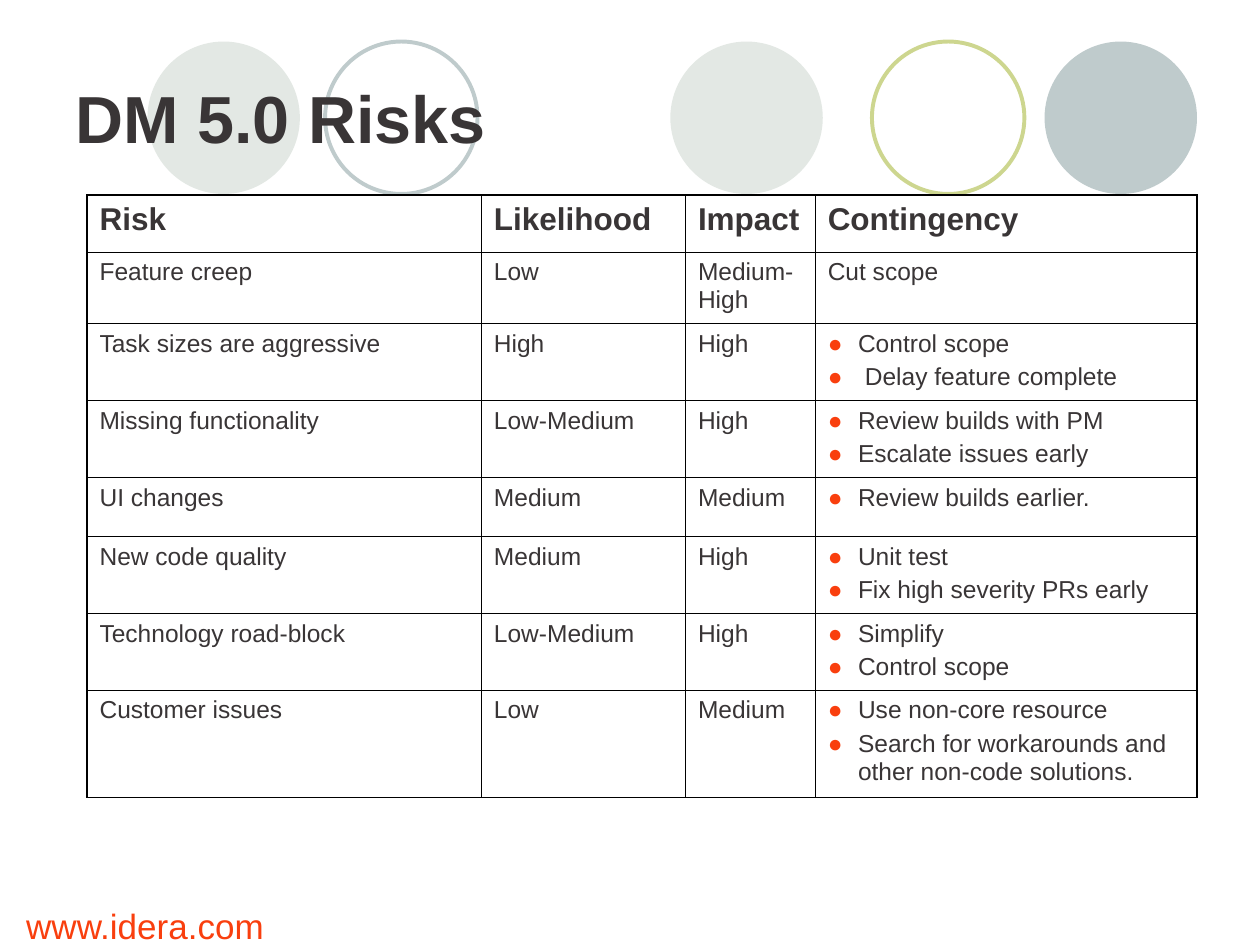
from lxml import etree
from pptx import Presentation
from pptx.dml.color import RGBColor
from pptx.enum.shapes import MSO_SHAPE
from pptx.enum.text import MSO_ANCHOR, PP_ALIGN
from pptx.oxml.ns import qn
from pptx.util import Inches, Pt

ELLIPSE = MSO_SHAPE.OVAL
MIDDLE = MSO_ANCHOR.MIDDLE
LEFT = PP_ALIGN.LEFT

DARK = RGBColor(0x39, 0x35, 0x36)
ORANGE = RGBColor(0xF9, 0x3F, 0x0E)
BLACK = RGBColor(0x00, 0x00, 0x00)
PALE_GREEN = RGBColor(0xE3, 0xE8, 0xE4)
GREY_BLUE = RGBColor(0xBF, 0xCB, 0xCC)
LIME = RGBColor(0xCD, 0xD6, 0x8F)

TITLE_FONT = {"name": "Arial", "size": Pt(38), "bold": True}
ADDRESS_FONT = {"name": "Arial", "size": Pt(20), "bold": False}
HEADER_FONT = {"name": "Arial", "size": Pt(18), "bold": True}
BODY_FONT = {"name": "Arial", "size": Pt(14), "bold": False}

presentation = Presentation()
presentation.slide_width = Inches(10)
presentation.slide_height = Inches(7.5)
slide = presentation.slides.add_slide(presentation.slide_layouts[5])

# The slide is 100 columns wide and 75 rows high, in square units.
UNIT = presentation.slide_width // 100


def format_paragraph(paragraph, font_values, color):
    paragraph.alignment = LEFT
    for name, value in font_values.items():
        setattr(paragraph.font, name, value)
    paragraph.font.color.rgb = color


def add_border(cell, side, width):
    properties = cell._tc.get_or_add_tcPr()
    line = etree.SubElement(properties, qn(f"a:ln{side}"), w=str(int(Pt(width))))
    fill = etree.SubElement(line, qn("a:solidFill"))
    etree.SubElement(fill, qn("a:srgbClr"), val=str(BLACK))


# Decorative circles: left column, colour, whether filled
circles = [
    (53.2, PALE_GREEN, True),
    (82.9, GREY_BLUE, True),
    (11.7, PALE_GREEN, True),
    (69.2, LIME, False),
    (25.8, GREY_BLUE, False),
]
for left, color, filled in circles:
    circle = slide.shapes.add_shape(
        ELLIPSE, *(int(n * UNIT) for n in (left, 3.3, 12.1, 12.1)))
    circle.shadow.inherit = False
    if filled:
        circle.fill.solid()
        circle.fill.fore_color.rgb = color
        circle.line.fill.background()
    else:
        circle.fill.background()
        circle.line.color.rgb = color
        circle.line.width = Pt(2.25)

# Web address
address = slide.shapes.add_textbox(
    *(int(n * UNIT) for n in (1.1, 71.3, 23.3, 5)))
address.text_frame.word_wrap = True
address.text_frame.text = "www.idera.com"
format_paragraph(address.text_frame.paragraphs[0], ADDRESS_FONT, ORANGE)

# Title, brought in front of the circles
title = slide.shapes.title
title.left, title.top, title.width, title.height = (
    int(n * UNIT) for n in (5, 3, 90, 12.5))
title.text_frame.text = "DM 5.0 Risks"
title.text_frame.vertical_anchor = MIDDLE
format_paragraph(title.text_frame.paragraphs[0], TITLE_FONT, DARK)
slide.shapes._spTree.append(title._element)

# Risk table: a list in the last column is bulleted
risks = [
    ("Risk", "Likelihood", "Impact", "Contingency"),
    ("Feature creep", "Low", "Medium-High", "Cut scope"),
    ("Task sizes are aggressive", "High", "High",
     ["Control scope", " Delay feature complete"]),
    ("Missing functionality", "Low-Medium", "High",
     ["Review builds with PM", "Escalate issues early"]),
    ("UI changes", "Medium", "Medium", ["Review builds earlier."]),
    ("New code quality", "Medium", "High",
     ["Unit test", "Fix high severity PRs early"]),
    ("Technology road-block", "Low-Medium", "High",
     ["Simplify", "Control scope"]),
    ("Customer issues", "Low", "Medium",
     ["Use non-core resource",
      "Search for workarounds and other non-code solutions."]),
]
column_widths = [31.3, 16.2, 10.3, 30.3]
row_heights = [4.5, 5.7, 6.1, 6.1, 4.7, 6.1, 6.1, 8.5]
last_row, last_column = len(row_heights) - 1, len(column_widths) - 1

table = slide.shapes.add_table(
    len(row_heights), len(column_widths),
    *(int(n * UNIT) for n in
      (6.9, 15.5, sum(column_widths), sum(row_heights)))).table
table.first_row = False
table.horz_banding = False
for column, width in zip(table.columns, column_widths):
    column.width = int(width * UNIT)
for row, height in zip(table.rows, row_heights):
    row.height = int(height * UNIT)

for row_index, risk in enumerate(risks):
    for column_index, content in enumerate(risk):
        cell = table.cell(row_index, column_index)
        outer_sides = {"L": column_index == 0, "R": column_index == last_column,
                       "T": row_index == 0, "B": row_index == last_row}
        for side, outer in outer_sides.items():
            add_border(cell, side, 1.08 if outer else 0.45)
        cell.fill.background()

        bulleted = isinstance(content, list)
        lines = content if bulleted else [content]
        cell.text_frame.text = "\n".join(lines)
        for line_index, paragraph in enumerate(cell.text_frame.paragraphs):
            if line_index > 0:
                paragraph.space_before = Pt(3.5)
            if bulleted:
                properties = paragraph._p.get_or_add_pPr()
                indent = int(2.4 * UNIT)
                properties.set("marL", str(indent))
                properties.set("indent", str(-indent))
                bullet_color = etree.SubElement(properties, qn("a:buClr"))
                etree.SubElement(bullet_color, qn("a:srgbClr"), val=str(ORANGE))
                etree.SubElement(properties, qn("a:buFont"), typeface="Arial")
                etree.SubElement(properties, qn("a:buChar"), char="●")
            format_paragraph(
                paragraph, HEADER_FONT if row_index == 0 else BODY_FONT, DARK)

presentation.save("out.pptx")
